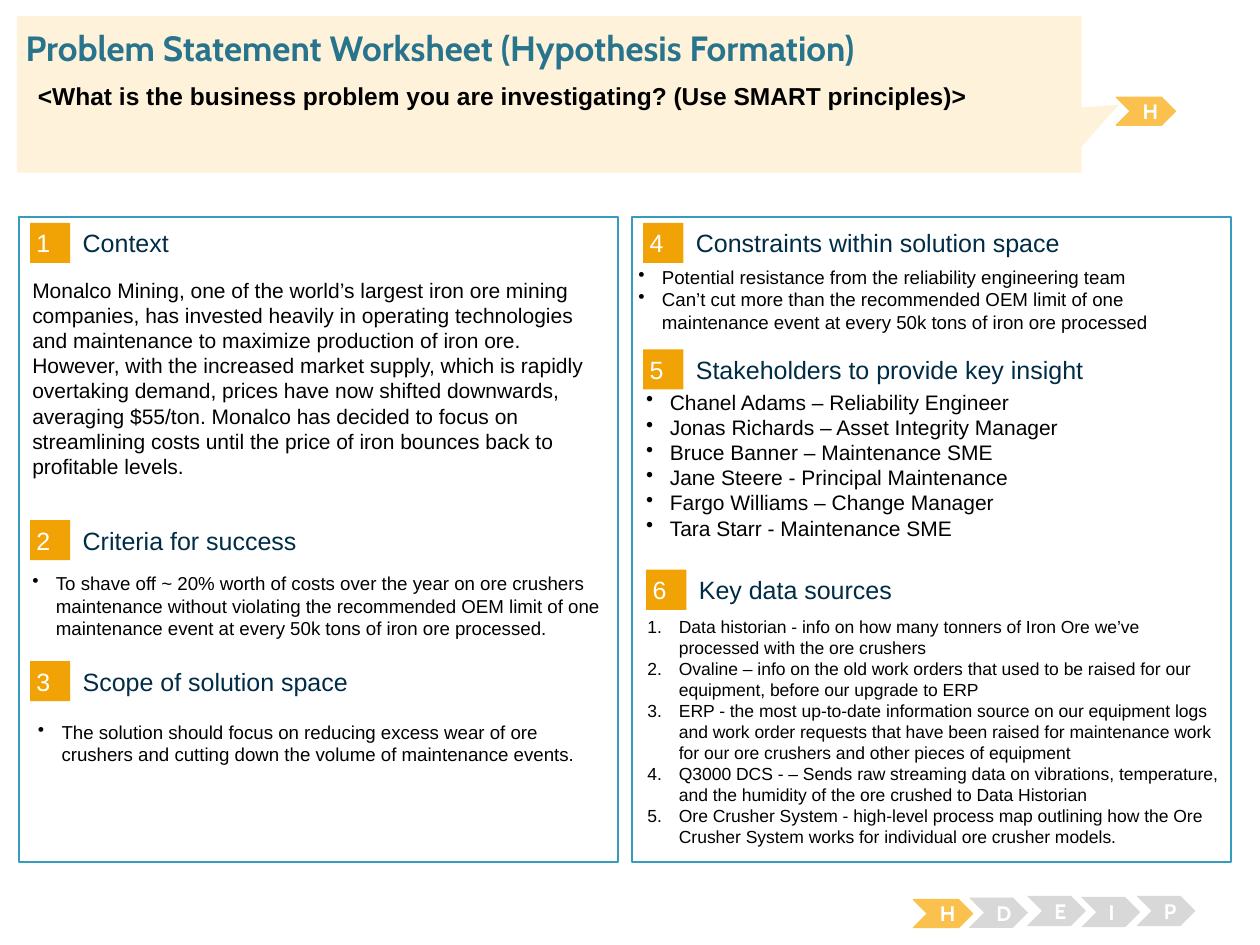
from dataclasses import dataclass

import pptx
import pptx.dml.color
import pptx.enum.shapes
import pptx.enum.text
import pptx.oxml
import pptx.oxml.ns
import pptx.util

Pt = pptx.util.Pt
MSO_SHAPE = pptx.enum.shapes.MSO_SHAPE
ANCHOR = pptx.enum.text.MSO_ANCHOR
ALIGN = pptx.enum.text.PP_ALIGN

COLORS = {
    "white": "FFFFFF", "black": "000000", "navy": "002C46", "teal": "29748D",
    "border": "379BBD", "orange": "F1A205", "amber": "FBC14E",
    "grey": "D8D8D8", "cream": "FEF2DA",
}
BULLET = '<a:buChar %s char="•"/>'
NUMBER = '<a:buAutoNum %s type="arabicPeriod"/>'
BODY_INSETS = (7.2, 3.6, 7.2, 3.6)
BODY_WIDTH = 340.6


@dataclass
class Section:
    number: int
    heading: str
    left: float
    top: float


@dataclass
class Body:
    left: float
    top: float
    height: float
    size: float
    lines: list[str]
    marker: str = ""
    indent: float = 0


@dataclass
class Step:
    letter: str
    left: float
    top: float
    active: bool = False


SECTIONS = [
    Section(1, "Context", 17.2, 127.4),
    Section(2, "Criteria for success", 17.2, 297.2),
    Section(3, "Scope of solution space", 17.2, 377.8),
    Section(4, "Constraints within solution space", 367.6, 127.4),
    Section(5, "Stakeholders to provide key insight", 367.6, 199.7),
    Section(6, "Key data sources", 369.3, 325.6),
]

BODIES = [
    Body(11.4, 154.8, 137.5, 12, [
        "Monalco Mining, one of the world’s largest iron ore mining companies, has "
        "invested heavily in operating technologies and maintenance to maximize "
        "production of iron ore. However, with the increased market supply, which is "
        "rapidly overtaking demand, prices have now shifted downwards, averaging "
        "$55/ton. Monalco has decided to focus on streamlining costs until the price "
        "of iron bounces back to profitable levels."]),
    Body(11.4, 323.3, 110.9, 10.7, [
        "To shave off ~ 20% worth of costs over the year on ore crushers maintenance "
        "without violating the recommended OEM limit of one maintenance event at "
        "every 50k tons of iron ore processed."], BULLET, 13.5),
    Body(14.6, 408.2, 59, 10.7, [
        "The solution should focus on reducing excess wear of ore crushers and "
        "cutting down the volume of maintenance events."], BULLET, 13.5),
    Body(357.7, 148.3, 50.4, 10.7, [
        "Potential resistance from the reliability engineering team",
        "Can’t cut more than the recommended OEM limit of one maintenance event at "
        "every 50k tons of iron ore processed"], BULLET, 13.5),
    Body(362.2, 218.9, 91.4, 12, [
        "Chanel Adams – Reliability Engineer",
        "Jonas Richards – Asset Integrity Manager",
        "Bruce Banner – Maintenance SME",
        "Jane Steere - Principal Maintenance",
        "Fargo Williams – Change Manager",
        "Tara Starr - Maintenance SME"], BULLET, 13.5),
    Body(362.9, 348.5, 85, 10, [
        "Data historian - info on how many tonners of Iron Ore we’ve processed with "
        "the ore crushers",
        "Ovaline – info on the old work orders that used to be raised for our "
        "equipment, before our upgrade to ERP",
        "ERP - the most up-to-date information source on our equipment logs and work "
        "order requests that have been raised for maintenance work for our ore "
        "crushers and other pieces of equipment",
        "Q3000 DCS - – Sends raw streaming data on vibrations, temperature, and the "
        "humidity of the ore crushed to Data Historian",
        "Ore Crusher System - high-level process map outlining how the Ore Crusher "
        "System works for individual ore crusher models."], NUMBER, 18),
]

STEPS = [
    Step("H", 522, 514.1, True),
    Step("D", 553.7, 512.9),
    Step("E", 586.8, 511.9),
    Step("I", 617.8, 512.6),
    Step("P", 649.4, 511.9),
    Step("H", 637.9, 55.6, True),
]


def rgb(name: str):
    return pptx.dml.color.RGBColor.from_string(COLORS[name])


def write(sp, *lines: str, size: float, color: str, font: str = "Arial",
          bold: bool = False, align=ALIGN.LEFT, anchor=ANCHOR.TOP,
          insets=(0, 0, 0, 0), marker: str = "", indent: float = 0) -> None:
    """Fill a shape with one formatted paragraph per line."""
    tf = sp.text_frame
    tf.word_wrap = True
    tf.auto_size = pptx.enum.text.MSO_AUTO_SIZE.NONE
    tf.vertical_anchor = anchor
    tf.margin_left, tf.margin_top, tf.margin_right, tf.margin_bottom = map(Pt, insets)
    for i, line in enumerate(lines):
        p = tf.add_paragraph() if i else tf.paragraphs[0]
        p.alignment = align
        r = p.add_run()
        r.text = line
        r.font.size, r.font.name, r.font.bold = Pt(size), font, bold
        r.font.color.rgb = rgb(color)
        if marker:
            pPr = p._p.get_or_add_pPr()
            pPr.set("marL", str(Pt(indent)))
            pPr.set("indent", str(-Pt(indent)))
            pPr.append(pptx.oxml.parse_xml(marker % pptx.oxml.ns.nsdecls("a")))


def add_box(s, kind, left: float, top: float, width: float, height: float,
            fill: str, line: str = "", line_width: float = 0.75):
    sp = s.shapes.add_shape(kind, Pt(left), Pt(top), Pt(width), Pt(height))
    sp.shadow.inherit = False
    sp.fill.solid()
    sp.fill.fore_color.rgb = rgb(fill)
    if line:
        sp.line.color.rgb = rgb(line)
        sp.line.width = Pt(line_width)
    else:
        sp.line.fill.background()
    return sp


def add_text(s, left: float, top: float, width: float, height: float,
             *lines: str, **fmt) -> None:
    write(s.shapes.add_textbox(Pt(left), Pt(top), Pt(width), Pt(height)), *lines, **fmt)


def add_section(s, sec: Section) -> None:
    badge = add_box(s, MSO_SHAPE.RECTANGLE, sec.left, sec.top, 22.9, 22.9, "orange")
    write(badge, str(sec.number), size=14.3, color="white",
          anchor=ANCHOR.MIDDLE, insets=(3.6,) * 4)
    add_text(s, sec.left + 30.1, sec.top + 2.4, 283, 18, sec.heading,
             size=14.3, color="navy", anchor=ANCHOR.MIDDLE)


def add_body(s, b: Body) -> None:
    add_text(s, b.left, b.top, BODY_WIDTH, b.height, *b.lines, size=b.size,
             color="black", insets=BODY_INSETS, marker=b.marker, indent=b.indent)


def add_step(s, step: Step) -> None:
    fill, line, height = ("amber", "amber", 16) if step.active else ("grey", "", 17.3)
    sp = add_box(s, MSO_SHAPE.CHEVRON, step.left, step.top, 33.8, height, fill, line)
    write(sp, step.letter, size=12, color="white", font="Cabin", bold=True,
          align=ALIGN.CENTER, anchor=ANCHOR.MIDDLE, insets=BODY_INSETS)


def add_header(s) -> None:
    callout = add_box(s, MSO_SHAPE.RECTANGULAR_CALLOUT, 9.6, 9.2, 608.4, 89.5, "cream")
    callout.adjustments[0], callout.adjustments[1] = 0.535, 0.066
    title = s.shapes.title
    title.left, title.top, title.width, title.height = map(Pt, (14.6, 15.1, 692.6, 24.5))
    write(title, "Problem Statement Worksheet (Hypothesis Formation)",
          size=20, color="teal", font="Cabin", bold=True)
    callout._element.addnext(title._element)  # the title lies on top of the callout
    add_text(s, 14.6, 42.5, 676, 38.9,
             "<What is the business problem you are investigating? (Use SMART principles)>",
             size=14, color="black", bold=True, insets=BODY_INSETS)


def main() -> None:
    prs = pptx.Presentation()
    prs.slide_width, prs.slide_height = Pt(720), Pt(540)
    s = prs.slides.add_slide(prs.slide_layouts[5])
    for left in (10.8, 361.2):
        add_box(s, MSO_SHAPE.RECTANGLE, left, 124, 342.3, 368.6, "white", "border", 1.5)
    for sec in SECTIONS:
        add_section(s, sec)
    for b in BODIES:
        add_body(s, b)
    for step in STEPS:
        add_step(s, step)
    add_header(s)
    prs.save("out.pptx")


if __name__ == "__main__":
    main()
